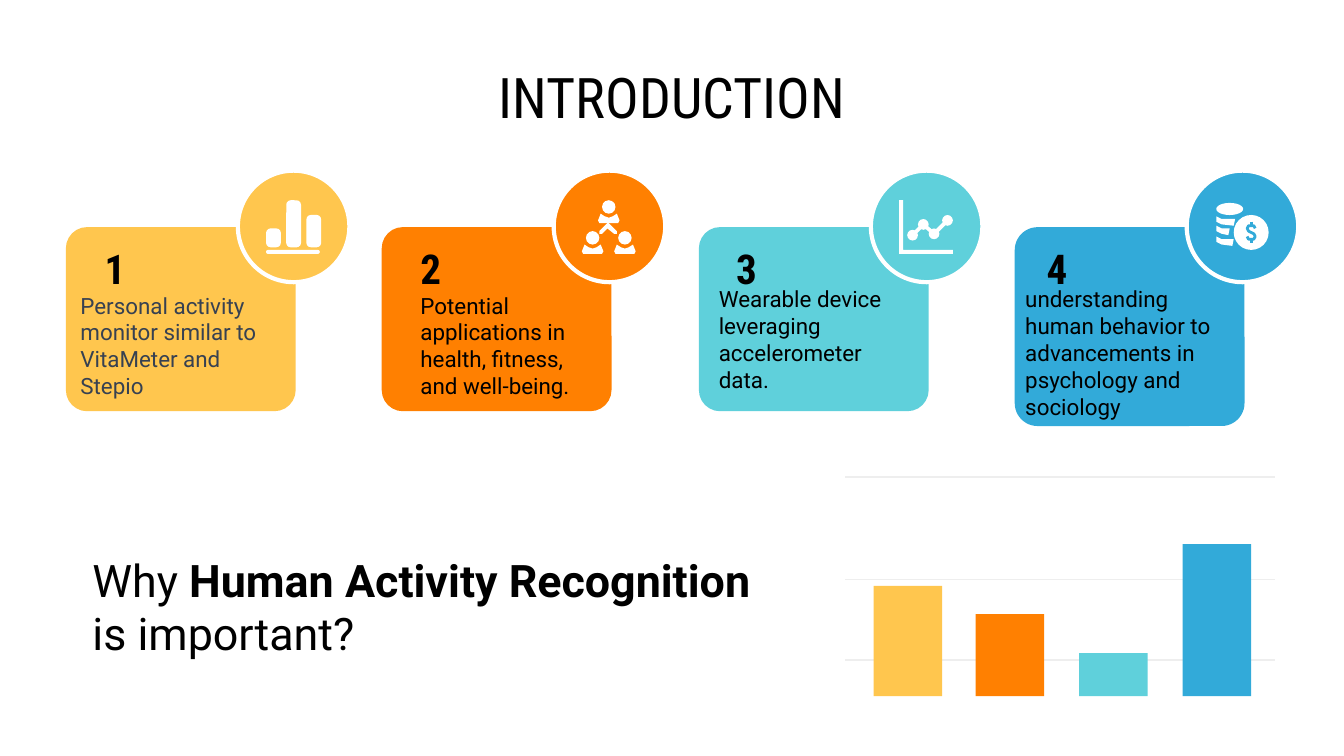
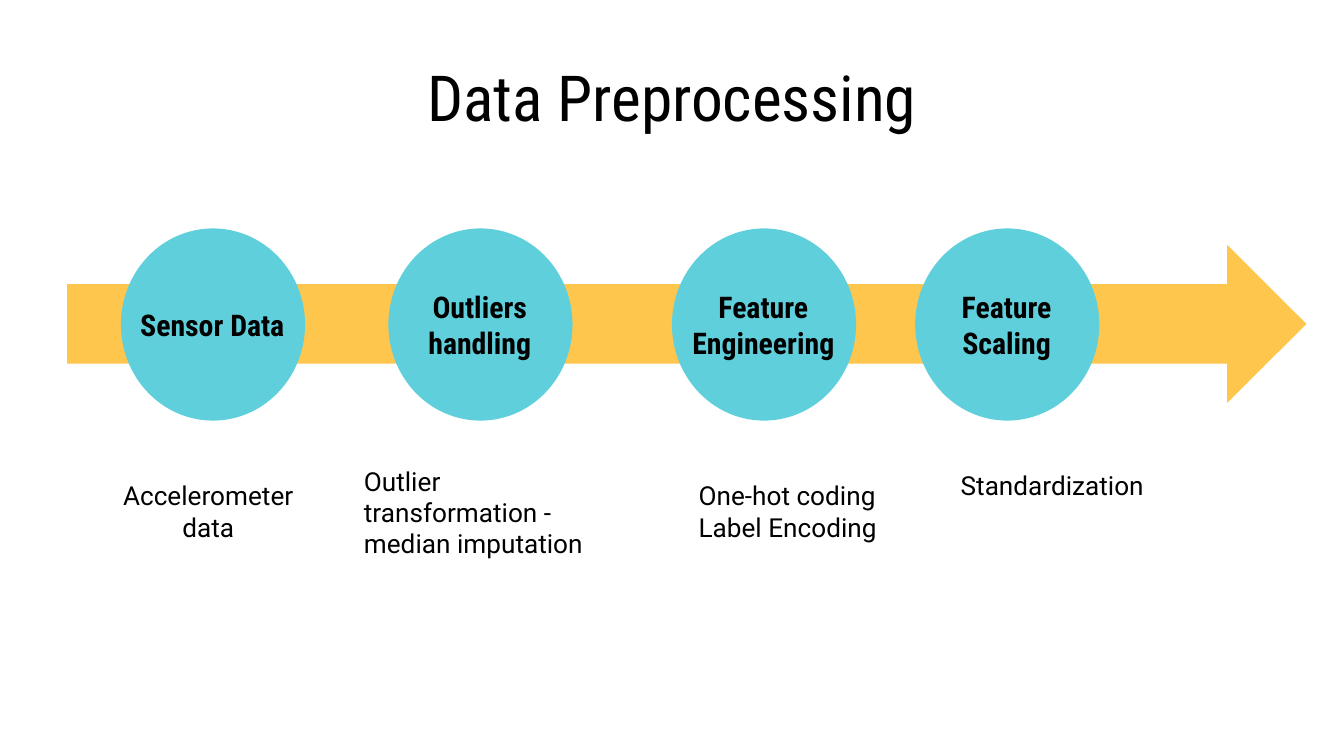
from pptx import Presentation
from pptx.dml.color import RGBColor
from pptx.enum.shapes import MSO_CONNECTOR, MSO_SHAPE
from pptx.enum.text import MSO_ANCHOR, PP_ALIGN
from pptx.oxml.ns import qn
from pptx.util import Pt

PIXEL = 9144
SLIDE_WIDTH = 1000

YELLOW = RGBColor(0xFF, 0xC6, 0x4E)
ORANGE = RGBColor(0xFF, 0x80, 0x01)
TURQUOISE = RGBColor(0x5F, 0xD0, 0xDB)
BLUE = RGBColor(0x32, 0xAA, 0xD9)
WHITE = RGBColor(0xFF, 0xFF, 0xFF)
BLACK = RGBColor(0x00, 0x00, 0x00)
SLATE = RGBColor(0x37, 0x41, 0x51)
GRID_GREY = RGBColor(0xEE, 0xEE, 0xEE)
SERIES_COLORS = [YELLOW, ORANGE, TURQUOISE, BLUE]

BODY_FONT = "Roboto"
HEADING_FONT = "Roboto Condensed"

LEFT, CENTER = PP_ALIGN.LEFT, PP_ALIGN.CENTER
TOP, MIDDLE = MSO_ANCHOR.TOP, MSO_ANCHOR.MIDDLE
STRAIGHT = MSO_CONNECTOR.STRAIGHT
RECTANGLE = MSO_SHAPE.RECTANGLE
ROUNDED = MSO_SHAPE.ROUNDED_RECTANGLE
OVAL = MSO_SHAPE.OVAL
RIGHT_ARROW = MSO_SHAPE.RIGHT_ARROW

BADGE_SIZE = 83
CARD_WIDTH = 171
CARDS = [
    ("1", "Personal activity monitor similar to VitaMeter and Stepio",
     SLATE, 137, 19, (1, 47, 151, 82)),
    ("2", "Potential applications in health, fitness, and well-being.",
     BLACK, 137, 19, (19, 47, 133, 82)),
    ("3", "Wearable device leveraging accelerometer data.",
     BLACK, 137, 18, (5, 47, 165, 73)),
    ("4", "understanding human behavior to advancements in psychology and sociology",
     BLACK, 148, 14, (-2, 57, 171, 73)),
]
BAR_HEIGHTS = [82, 61, 32, 113]
GRID_OFFSETS = [0, 76, 136]
STEPS = [
    (90, "Sensor Data", "Accelerometer data", (-15, 177, 160, 69), CENTER),
    (289, "Outliers handling", "Outlier transformation - median imputation",
     (-28, 166, 204, 91), LEFT),
    (500, "Feature Engineering", "One-hot coding\nLabel Encoding",
     (10, 177, 160, 53), LEFT),
    (681, "Feature Scaling", "Standardization", (24, 169, 160, 69), LEFT),
]


def px(value):
    return int(value * PIXEL)


def add_text(slide, text, left, top, width, height, *, size, font=BODY_FONT,
             color=BLACK, bold=False, align=LEFT, anchor=MIDDLE,
             inset_x=10, inset_y=10):
    shape = slide.shapes.add_textbox(px(left), px(top), px(width), px(height))
    frame = shape.text_frame
    frame.word_wrap = True
    frame.vertical_anchor = anchor
    frame.margin_left = frame.margin_right = px(inset_x)
    frame.margin_top = frame.margin_bottom = px(inset_y)
    for number, line in enumerate(text.split("\n")):
        paragraph = frame.add_paragraph() if number else frame.paragraphs[0]
        paragraph.alignment = align
        for position, part in enumerate(line.split("**")):
            if not part:
                continue
            run = paragraph.add_run()
            run.text = part
            run.font.name = font
            run.font.size = Pt(size)
            run.font.bold = bold or position % 2 == 1
            run.font.color.rgb = color


def paint(shape, fill, line, line_width):
    shape.shadow.inherit = False
    if fill is None:
        shape.fill.background()
    else:
        shape.fill.solid()
        shape.fill.fore_color.rgb = fill
    if line is None:
        shape.line.fill.background()
    else:
        shape.line.color.rgb = line
        shape.line.width = Pt(line_width)


def add_block(slide, kind, left, top, width, height, fill, line=None,
              line_width=2.25, corner=None):
    shape = slide.shapes.add_shape(kind, px(left), px(top), px(width), px(height))
    if corner is not None:
        shape.adjustments[0] = corner
    paint(shape, fill, line, line_width)


def add_outline(slide, left, top, points, fill=None, line=None, line_width=1.5):
    corners = [(px(left + x), px(top + y)) for x, y in points]
    builder = slide.shapes.build_freeform(*corners[0])
    builder.add_line_segments(corners[1:], close=fill is not None)
    paint(builder.convert_to_shape(), fill, line, line_width)


def add_grid_line(slide, left, top, width):
    line = slide.shapes.add_connector(
        STRAIGHT, px(left), px(top), px(left + width), px(top))
    line.line.color.rgb = GRID_GREY
    line.line.width = Pt(0.75)
    properties = line._element.spPr
    properties.append(properties.makeelement(qn("a:effectLst"), {}))


def add_title(slide, text, size):
    add_text(slide, text, 50, 45, 900, 53, size=size, font=HEADING_FONT, align=CENTER)


def draw_bars_icon(slide, left, top):
    add_block(slide, ROUNDED, left + 21, top + 59, 40, 3, WHITE, corner=0.5)
    for x, width, height in [(21, 11, 14), (36, 11, 35), (51, 11, 24)]:
        add_block(slide, ROUNDED, left + x, top + 57 - height, width, height,
                  WHITE, corner=0.3)


def draw_team_icon(slide, left, top):
    shoulders = [(2, 0), (5, 2), (8, 3), (11, 2), (14, 0),
                 (16, 5), (15, 7), (1, 7), (0, 5)]
    branch = [(6, 0), (7, 0), (13, 6), (13, 8), (11, 8),
              (6, 4), (2, 8), (0, 8), (0, 6)]
    for x, y in [(33, 22), (45, 45), (21, 45)]:
        add_block(slide, OVAL, left + x + 3, top + y, 10, 10, WHITE)
        add_outline(slide, left + x, top + y + 10, shoulders, fill=WHITE)
    add_outline(slide, left + 34, top + 39, branch, fill=WHITE)


def draw_trend_icon(slide, left, top):
    axes = [(0, 0), (3, 0), (3, 37), (40, 37), (40, 40), (0, 40)]
    values = [(31, 48), (39, 40), (47, 47), (57, 37)]
    add_outline(slide, left + 21, top + 22, axes, fill=WHITE)
    add_outline(slide, left, top, values, line=WHITE, line_width=2)
    for x, y in values:
        add_block(slide, OVAL, left + x - 4, top + y - 4, 8, 8, WHITE)


def draw_coins_icon(slide, left, top):
    add_block(slide, OVAL, left + 22, top + 24, 20, 9, WHITE)
    for y, width in [(34, 14), (41, 10), (49, 13)]:
        layer = [(0, 0), (4, 2), (width, 2), (width - 1, 7), (4, 6), (0, 4)]
        add_outline(slide, left + 22, top + y, layer, fill=WHITE)
    add_block(slide, OVAL, left + 35, top + 33, 26, 26, WHITE)
    curve = [(16, 10), (15, 8), (11, 8), (10, 10), (11, 12),
             (15, 14), (16, 16), (15, 18), (11, 18), (10, 16)]
    for stroke in (curve, [(13, 5), (13, 8)], [(13, 18), (13, 21)]):
        add_outline(slide, left + 35, top + 33, stroke, line=BLUE)


ICONS = [draw_bars_icon, draw_team_icon, draw_trend_icon, draw_coins_icon]


def add_card(slide, left, top, card, color, draw_icon):
    number, body, body_color, height, number_left, body_box = card
    body_left, body_top, body_width, body_height = body_box
    badge_left, badge_top = left + 128, top - 42
    add_block(slide, ROUNDED, left, top, CARD_WIDTH, height, color, corner=0.115)
    add_block(slide, OVAL, badge_left, badge_top, BADGE_SIZE, BADGE_SIZE, color, WHITE)
    draw_icon(slide, badge_left, badge_top)
    add_text(slide, number, left + number_left, top + 15, 80, 31, size=22,
             font=HEADING_FONT, bold=True, inset_y=5)
    add_text(slide, body, left + body_left, top + body_top, body_width, body_height,
             size=12, color=body_color, inset_y=5)


def add_bar_graphic(slide, left, top, width, height):
    for offset in GRID_OFFSETS:
        add_grid_line(slide, left, top + offset, width)
    for index, (bar_height, color) in enumerate(zip(BAR_HEIGHTS, SERIES_COLORS)):
        add_block(slide, RECTANGLE, left + 21 + 230 * index // 3,
                  top + height - bar_height, 51, bar_height, color)


def add_step(slide, top, step):
    left, label, detail, detail_box, align = step
    detail_left, detail_top, detail_width, detail_height = detail_box
    add_block(slide, OVAL, left, top, 137, 143, TURQUOISE)
    add_text(slide, label, left - 12, top + 33, 160, 77, size=16, font=HEADING_FONT,
             bold=True, align=CENTER, inset_x=25, inset_y=25)
    add_text(slide, detail, left + detail_left, top + detail_top, detail_width,
             detail_height, size=14, align=align, anchor=TOP)


def build_introduction(slide):
    add_title(slide, "INTRODUCTION", 30)
    for index, card in enumerate(CARDS):
        add_card(slide, 49 + (706 * index + 1) // 3, 169, card,
                 SERIES_COLORS[index], ICONS[index])
    add_bar_graphic(slide, 629, 355, 320, 163)
    add_text(slide, "Why **Human Activity Recognition**\nis important?",
             59, 401, 553, 106, size=24, anchor=TOP)


def build_preprocessing(slide):
    add_title(slide, "Data Preprocessing", 34)
    add_block(slide, RIGHT_ARROW, 50, 182, 922, 118, YELLOW)
    for step in STEPS:
        add_step(slide, 170, step)


def main():
    presentation = Presentation()
    presentation.slide_width = px(SLIDE_WIDTH)
    presentation.slide_height = px(SLIDE_WIDTH) * 9 // 16
    for build in (build_introduction, build_preprocessing):
        build(presentation.slides.add_slide(presentation.slide_layouts[6]))
    presentation.save("out.pptx")


if __name__ == "__main__":
    main()
